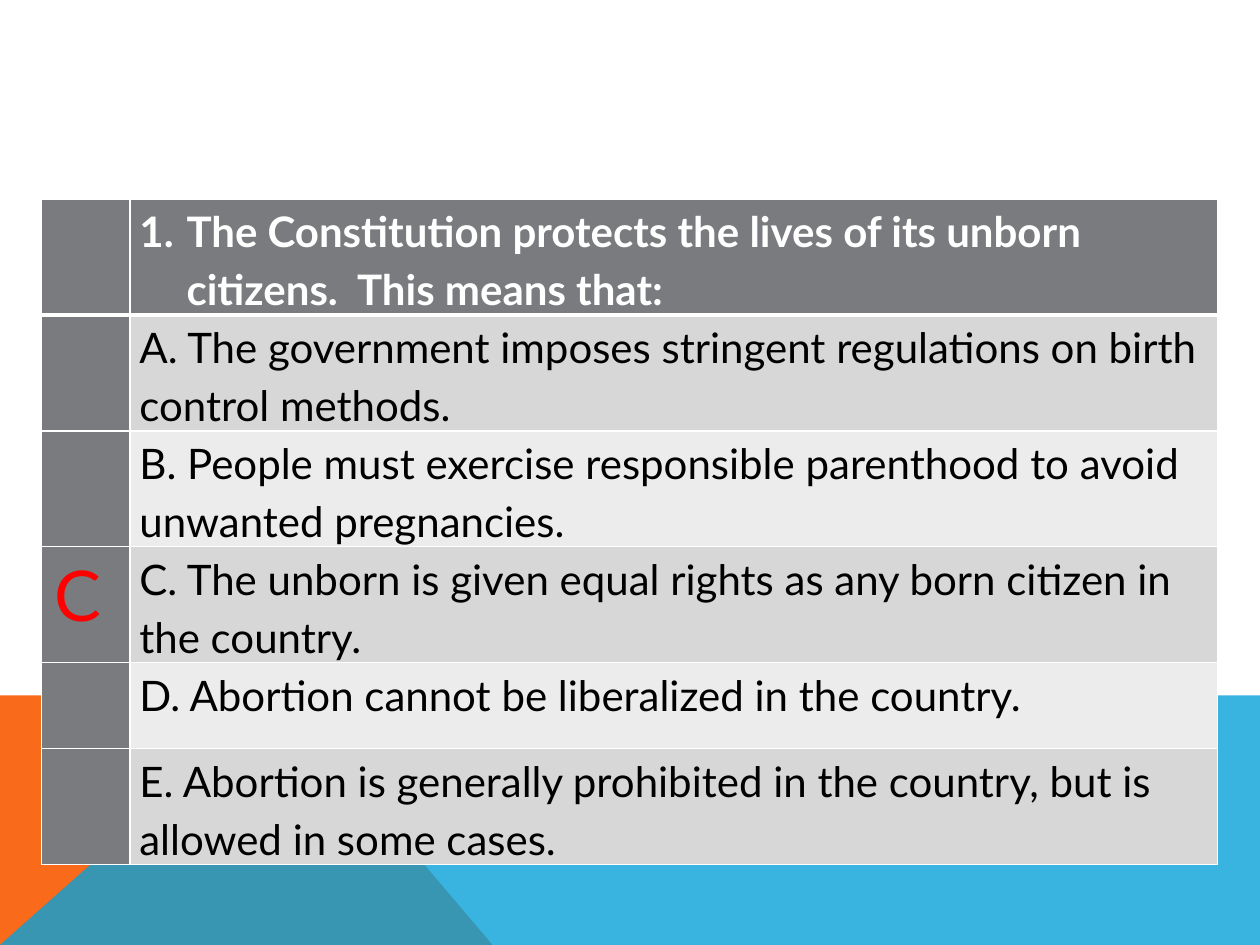
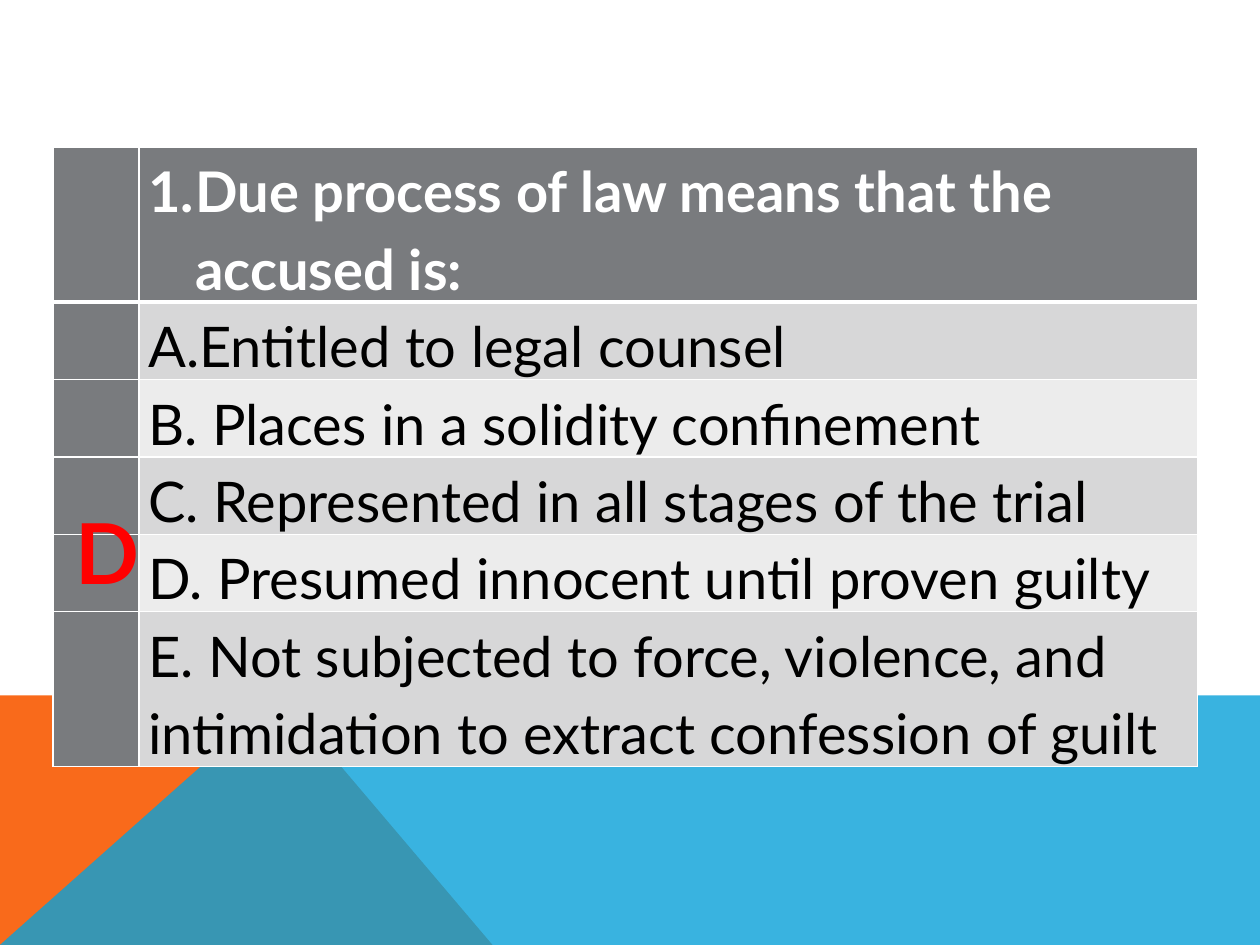
from dataclasses import dataclass

from lxml.etree import SubElement
from pptx import Presentation
from pptx.dml.color import RGBColor as Rgb
from pptx.enum.text import MSO_AUTO_SIZE as AutoSize
from pptx.oxml import parse_xml
from pptx.oxml.ns import nsdecls, qn
from pptx.util import Cm, Pt


@dataclass(frozen=True)
class Theme:
    font: str = "Lato"
    orange: str = "F96A1B"
    blue: str = "08A1D9"
    header: str = "797B7E"
    bands: tuple = ("D7D7D8", "ECECEC")
    white: str = "FFFFFF"
    black: str = "000000"
    answer: str = "FF0000"
    line_spacing: float = 1.15
    thin: float = 1
    thick: float = 3


THEME = Theme()
WIDTH, HEIGHT = 25.4, 19.05
BAND_TOP, PEAK, ORANGE_END = 14.02, 5.66, 9.93
HANGING = {"marL": Cm(0.95), "indent": Cm(-0.95)}
CELL_MARGINS = {
    "margin_left": Cm(0.19), "margin_right": Cm(0.19),
    "margin_top": 0, "margin_bottom": 0,
}

QUESTIONS = [
    {
        "place": (0.84, 4.01),
        "columns": (1.78, 21.92),
        "rows": (2.33, 2.33, 2.33, 2.33, 1.73, 2.33),
        "size": 24,
        "lines": [
            ("arabicPeriod", "The Constitution protects the lives of its unborn citizens.  This means that:"),
            (None, "A. The government imposes stringent regulations on birth control methods."),
            (None, "B. People must exercise responsible parenthood to avoid unwanted pregnancies."),
            (None, "C. The unborn is given equal rights as any born citizen in the country."),
            (None, "D. Abortion cannot be liberalized in the country."),
            (None, "E. Abortion is generally prohibited in the country, but is allowed in some cases."),
        ],
        "answer": {"letter": "C", "box": (0.84, 11, 1.9, 1.96), "size": 40, "bold": False, "wrap": True},
    },
    {
        "place": (1.07, 2.97),
        "columns": (1.73, 21.34),
        "rows": (3.12, 1.56, 1.56, 1.56, 1.56, 3.12),
        "size": 32,
        "lines": [
            ("arabicPeriod", "Due process of law means that the accused is:"),
            ("alphaUcPeriod", "Entitled to legal counsel"),
            (None, "B. Places in a solidity confinement"),
            (None, "C. Represented in all stages of the trial"),
            (None, "D. Presumed innocent until proven guilty"),
            (None, "E. Not subjected to force, violence, and intimidation to extract confession of guilt"),
        ],
        "answer": {"letter": "D", "box": (1.27, 9.96, 1.63, 2.31), "size": 48, "bold": True, "wrap": False},
    },
]


def apply(target, formats):
    for name, value in formats.items():
        setattr(target, name, value)


def fill_solid(fill, color):
    fill.solid()
    fill.fore_color.rgb = Rgb.from_string(color)


def style_font(font, size, color, bold):
    apply(font, {"name": THEME.font, "size": Pt(size), "bold": bold})
    font.color.rgb = Rgb.from_string(color)


def add_polygon(slide, corners, color, opacity=100):
    start, *others = [(Cm(x), Cm(y)) for x, y in corners]
    builder = slide.shapes.build_freeform(*start)
    builder.add_line_segments(others, close=True)
    polygon = builder.convert_to_shape()
    polygon.shadow.inherit = False
    polygon.line.fill.background()
    fill_solid(polygon.fill, color)
    if opacity < 100:
        tint = polygon.fill._xPr.find(qn("a:solidFill"))[0]
        SubElement(tint, qn("a:alpha"), val=str(opacity * 1000))


def add_bottom_bands(slide):
    add_polygon(
        slide,
        [(0, HEIGHT), (0, BAND_TOP), (PEAK, BAND_TOP), (ORANGE_END, HEIGHT)],
        THEME.orange,
    )
    add_polygon(
        slide,
        [(0, HEIGHT), (PEAK, BAND_TOP), (WIDTH, BAND_TOP), (WIDTH, HEIGHT)],
        THEME.blue,
        opacity=80,
    )


def set_borders(cell, row):
    widths = {
        "L": THEME.thin,
        "R": THEME.thin,
        "T": THEME.thick if row == 1 else THEME.thin,
        "B": THEME.thick if row == 0 else THEME.thin,
    }
    properties = cell._tc.get_or_add_tcPr()
    for position, (side, width) in enumerate(widths.items()):
        properties.insert(position, parse_xml(
            f'<a:ln{side} {nsdecls("a")} w="{Pt(width)}"><a:solidFill>'
            f'<a:srgbClr val="{THEME.white}"/></a:solidFill></a:ln{side}>'
        ))


def write_line(cell, numbering, text, size, is_question):
    apply(cell, CELL_MARGINS)
    paragraph = cell.text_frame.paragraphs[0]
    paragraph.line_spacing = THEME.line_spacing
    if numbering:
        properties = paragraph._p.get_or_add_pPr()
        for name, value in HANGING.items():
            properties.set(name, str(value))
        SubElement(properties, qn("a:buAutoNum"), type=numbering)
    run = paragraph.add_run()
    run.text = text
    style_font(run.font, size, THEME.white if is_question else THEME.black, is_question)


def add_question_table(slide, question):
    columns, rows = question["columns"], question["rows"]
    left, top = question["place"]
    table = slide.shapes.add_table(
        len(rows), len(columns), Cm(left), Cm(top), Cm(sum(columns)), Cm(sum(rows))
    ).table
    for column, width in zip(table.columns, columns):
        column.width = Cm(width)
    for index, (numbering, text) in enumerate(question["lines"]):
        table.rows[index].height = Cm(rows[index])
        mark, line = table.rows[index].cells
        line_color = THEME.bands[(index - 1) % 2] if index else THEME.header
        for cell, color in ((mark, THEME.header), (line, line_color)):
            fill_solid(cell.fill, color)
            set_borders(cell, index)
        write_line(line, numbering, text, question["size"], index == 0)


def add_answer(slide, answer):
    box = slide.shapes.add_textbox(*map(Cm, answer["box"]))
    apply(box.text_frame, {
        "word_wrap": answer["wrap"],
        "auto_size": AutoSize.SHAPE_TO_FIT_TEXT,
    })
    run = box.text_frame.paragraphs[0].add_run()
    run.text = answer["letter"]
    style_font(run.font, answer["size"], THEME.answer, answer["bold"])


def main():
    deck = Presentation()
    apply(deck, {"slide_width": Cm(WIDTH), "slide_height": Cm(HEIGHT)})
    blank = deck.slide_layouts[6]
    for question in QUESTIONS:
        slide = deck.slides.add_slide(blank)
        add_bottom_bands(slide)
        add_question_table(slide, question)
        add_answer(slide, question["answer"])
    deck.save("out.pptx")


if __name__ == "__main__":
    main()
